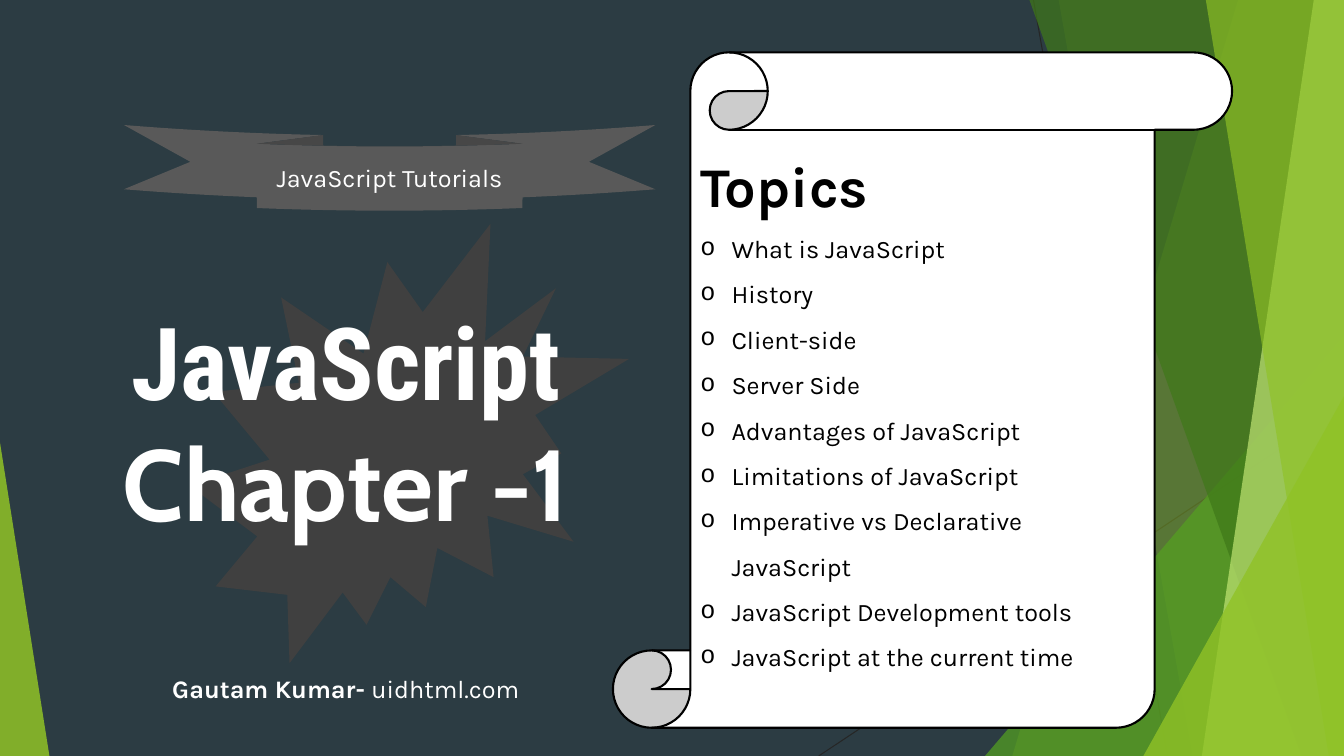
import pptx
import pptx.util
import pptx.dml.color
import pptx.enum.shapes
import pptx.enum.text
import pptx.oxml
import pptx.oxml.ns
from pptx.util import Inches

W, H = 13.33, 7.5
SHAPE = pptx.enum.shapes.MSO_SHAPE
ALIGN = pptx.enum.text.PP_ALIGN
ANCHOR = pptx.enum.text.MSO_ANCHOR
WHITE, BLACK = "FFFFFF", "000000"

TOPICS = [
    "What is JavaScript", "History", "Client-side", "Server Side",
    "Advantages of JavaScript", "Limitations of JavaScript",
    "Imperative vs Declarative JavaScript", "JavaScript Development tools",
    "JavaScript at the current time",
]
THIN_LINES = [(10.25, 0, 11.58, H), (W, 4.03, 8.12, H)]
# Bands run from the top edge to the bottom edge: x at top, x at bottom, colour, opacity %
# Corners are triangles: left, top, width, peak position, colour, opacity %
FACETS = [
    ("band", 12.28, 10.04, "90C226", 30),
    ("band", 10.5, 11.83, "90C226", 20),
    ("corner", 9.77, 3.33, 3.56, 1, "54A021", 72),
    ("band", 10.21, 12.91, "3F7819", 70),
    ("band", 13.03, 11.92, "C0E474", 70),
    ("band", 11.96, 13.18, "90C226", 65),
    ("corner", 11.34, 3.93, 1.99, 1, "90C226", 80),
    ("corner", 0, 4.39, 0.49, 0, "90C226", 85),
]


def rgb(value):
    return pptx.dml.color.RGBColor.from_string(value)


def paint(sp, color, opacity=100, line=None):
    sp.shadow.inherit = False
    sp.fill.solid()
    sp.fill.fore_color.rgb = rgb(color)
    if opacity < 100:
        clr = sp.fill._xPr.find(".//" + pptx.oxml.ns.qn("a:srgbClr"))
        clr.append(pptx.oxml.parse_xml(
            f'<a:alpha {pptx.oxml.ns.nsdecls("a")} val="{opacity * 1000}"/>'))
    if line:
        sp.line.color.rgb = rgb(line)
        sp.line.width = pptx.util.Pt(1.5)
    else:
        sp.line.fill.background()


def add_shape(kind, x, y, w, h, color, **look):
    sp = slide.shapes.add_shape(kind, Inches(x), Inches(y), Inches(w), Inches(h))
    paint(sp, color, **look)
    return sp


def write(p, text, size=18, font="Karla", color=WHITE, bold=False, align=ALIGN.CENTER):
    p.alignment = align
    r = p.add_run()
    r.text = text
    r.font.size = pptx.util.Pt(size)
    r.font.name = font
    r.font.bold = bold
    r.font.color.rgb = rgb(color)


def add_bullet(p, indent=0.31):
    pPr = p._p.get_or_add_pPr()
    pPr.set("marL", str(Inches(indent)))
    pPr.set("indent", str(-Inches(indent)))
    for tag in ('buFont typeface="Courier New"', 'buChar char="o"'):
        pPr.append(pptx.oxml.parse_xml(f'<a:{tag} {pptx.oxml.ns.nsdecls("a")}/>'))


prs = pptx.Presentation()
prs.slide_width, prs.slide_height = Inches(W), Inches(H)
slide = prs.slides.add_slide(prs.slide_layouts[5])
slide.background.fill.solid()
slide.background.fill.fore_color.rgb = rgb("2C3C43")

# Backdrop of thin lines and green facets
for ends in THIN_LINES:
    line = slide.shapes.add_connector(
        pptx.enum.shapes.MSO_CONNECTOR.STRAIGHT, *[Inches(v) for v in ends])
    line.line.color.rgb = rgb("262626")
    line.line.width = pptx.util.Pt(0.75)
    line._element.spPr.append(
        pptx.oxml.parse_xml(f'<a:effectLst {pptx.oxml.ns.nsdecls("a")}/>'))

for kind, *facet in FACETS:
    if kind == "band":
        top_x, bottom_x, color, opacity = facet
        outline = slide.shapes.build_freeform(Inches(top_x), 0)
        outline.add_line_segments(
            [(Inches(x), Inches(y)) for x, y in ((W, 0), (W, H), (bottom_x, H))])
        paint(outline.convert_to_shape(), color, opacity)
    else:
        x, y, w, peak, color, opacity = facet
        sp = add_shape(SHAPE.ISOSCELES_TRIANGLE, x, y, w, H - y, color, opacity=opacity)
        sp.adjustments[0] = peak

# Title in front of the burst
add_shape(SHAPE.EXPLOSION2, 1.88, 2.22, 4.36, 4.36, "404040")
title = slide.shapes.title
slide.shapes._spTree.append(title._element)
title.left, title.top = Inches(0), Inches(2.09)
title.width, title.height = Inches(6.86), Inches(4.17)
tf = title.text_frame
tf.auto_size = pptx.enum.text.MSO_AUTO_SIZE.NONE
tf.vertical_anchor = ANCHOR.MIDDLE
p = tf.paragraphs[0]
write(p, "JavaScript", size=72, font="Roboto Condensed", bold=True)
p.add_line_break()
write(p, "Chapter -1", size=72, font="Cabin", bold=True)

# Ribbon
ribbon = add_shape(SHAPE.CURVED_DOWN_RIBBON, 1.23, 1.24, 5.27, 0.85, "595959")
ribbon.text_frame.vertical_anchor = ANCHOR.MIDDLE
write(ribbon.text_frame.paragraphs[0], "JavaScript Tutorials")

# Scroll with the topics
scroll = add_shape(SHAPE.VERTICAL_SCROLL, 6.08, 0.52, 6.14, 6.7, WHITE, line=BLACK)
tf = scroll.text_frame
tf.word_wrap = True
tf.vertical_anchor = ANCHOR.MIDDLE
tf.margin_bottom = Inches(0.34)
p = tf.paragraphs[0]
p.line_spacing = 1.5
write(p, "Topics", size=40, color=BLACK, bold=True, align=ALIGN.LEFT)
for topic in TOPICS:
    p = tf.add_paragraph()
    add_bullet(p)
    p.line_spacing = 1.5
    write(p, topic, color=BLACK, align=ALIGN.LEFT)

# Author line
author = slide.shapes.add_textbox(Inches(0), Inches(6.63), Inches(6.86), Inches(0.4))
author.text_frame.word_wrap = True
p = author.text_frame.paragraphs[0]
write(p, "Gautam Kumar- ", bold=True)
write(p, "uidhtml.com")

prs.save("out.pptx")
